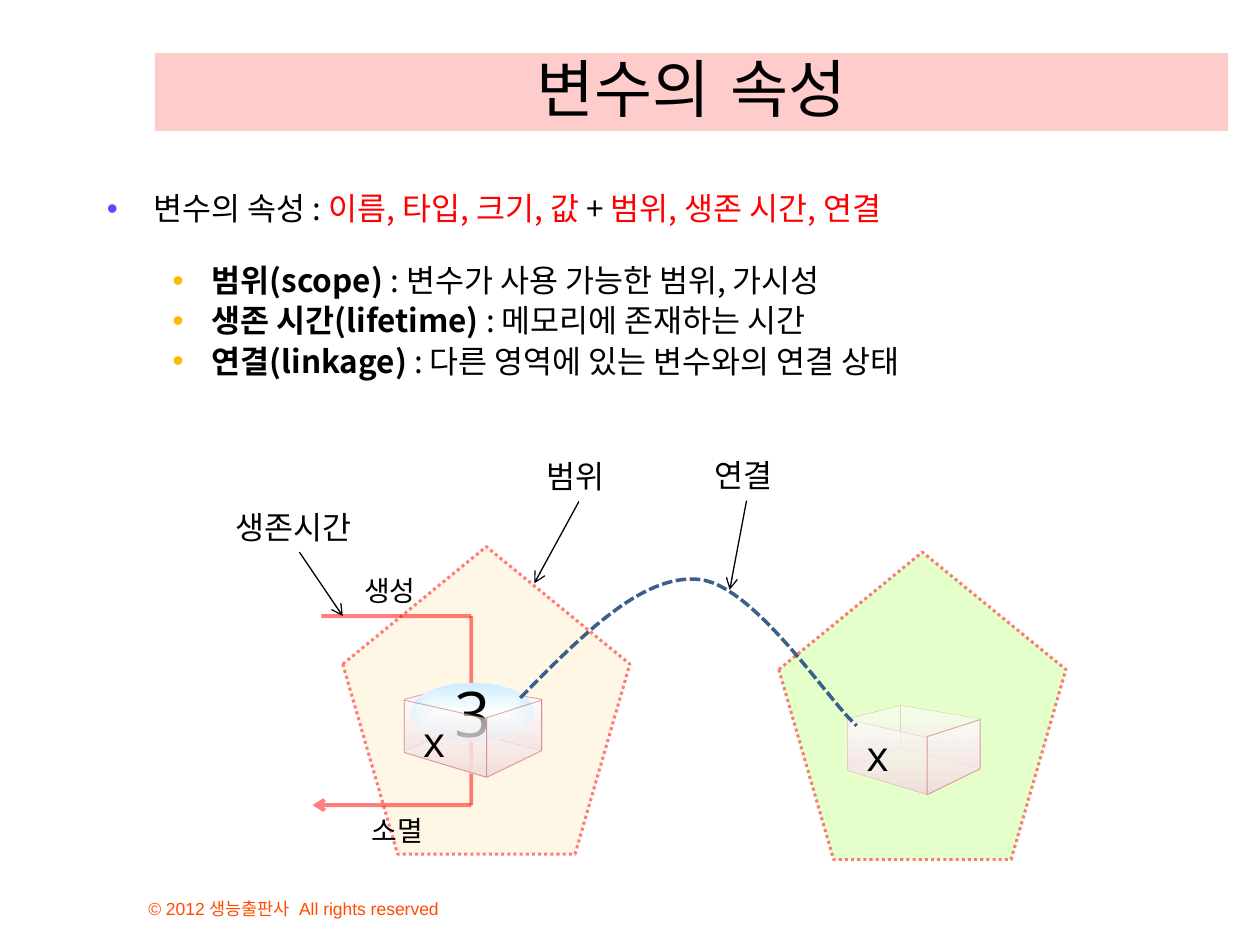
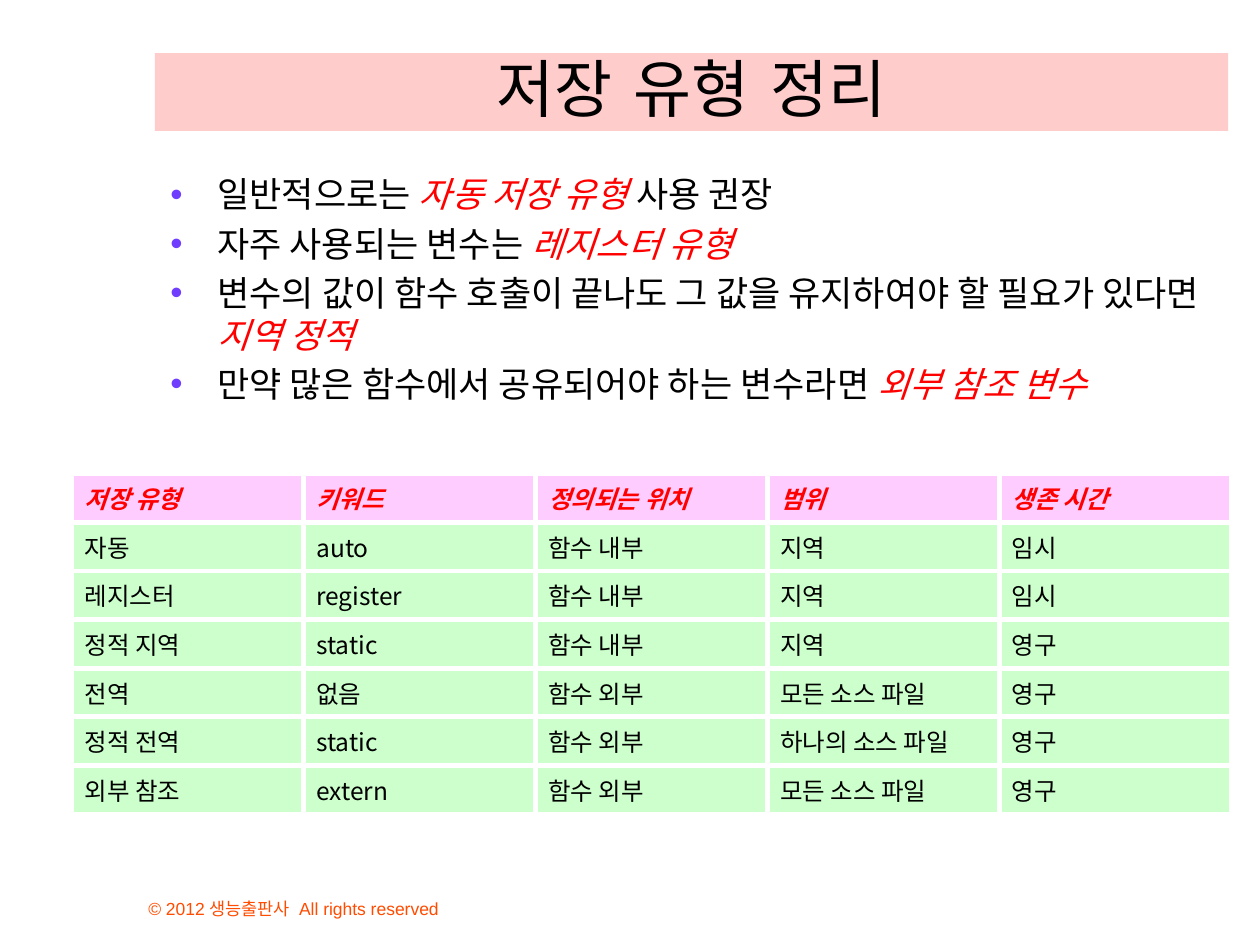
from lxml.etree import SubElement
from pptx import Presentation
from pptx.dml.color import RGBColor
from pptx.enum.dml import MSO_LINE
from pptx.enum.shapes import MSO_CONNECTOR, MSO_SHAPE
from pptx.enum.text import MSO_ANCHOR, MSO_AUTO_SIZE, PP_ALIGN
from pptx.oxml.ns import qn
from pptx.util import Cm, Pt

BLACK, RED, WHITE = "000000", "FF0000", "FFFFFF"
BAND, ORANGE, PURPLE, AMBER = "FFCCCC", "FF4C00", "703DFF", "FFB800"
ROSE, BRICK, NAVY = "F2DCDB", "C0504D", "3A5F8C"
KOREAN, TITLE, LATIN, PLAIN = "Noto Sans CJK KR", "Comic Neue", "Open Sans", "Arial"

FOOTER = "© 2012 생능출판사  All rights reserved"
HOT = {"color": RED}
BOLD = {"bold": True}
SLANT = {"color": RED, "italic": True}

# Each paragraph is a list of (text, format) runs.
TRAITS = [[("변수의 속성 : ", {}), ("이름, 타입, 크기, 값 ", HOT),
           ("+ ", {}), ("범위, 생존 시간, 연결", HOT)]]
TERMS = [
    [("범위(scope) ", BOLD), (": 변수가 사용 가능한 범위, 가시성", {})],
    [("생존 시간(lifetime) ", BOLD), (": 메모리에 존재하는 시간", {})],
    [("연결(linkage)", BOLD), (" : 다른 영역에 있는 변수와의 연결 상태", {})],
]
ADVICE = [
    [("일반적으로는 ", {}), ("자동 저장 유형", SLANT), (" 사용 권장", {})],
    [("자주 사용되는 변수는 ", {}), ("레지스터 유형", SLANT)],
    [("변수의 값이 함수 호출이 끝나도 그 값을 유지하여야 할 필요가 있다면 ", {}),
     ("지역 정적", SLANT)],
    [("만약 많은 함수에서 공유되어야 하는 변수라면 ", {}), ("외부 참조 변수", SLANT)],
]
STORAGE = [
    ("저장 유형", "키워드", "정의되는 위치", "범위", "생존 시간"),
    ("자동", "auto", "함수 내부", "지역", "임시"),
    ("레지스터", "register", "함수 내부", "지역", "임시"),
    ("정적 지역", "static", "함수 내부", "지역", "영구"),
    ("전역", "없음", "함수 외부", "모든 소스 파일", "영구"),
    ("정적 전역", "static", "함수 외부", "하나의 소스 파일", "영구"),
    ("외부 참조", "extern", "함수 외부", "모든 소스 파일", "영구"),
]

# Diagram parts, in cm.
SCOPES = [((6.91, 11.02), "FFF1CC"), ((15.7, 11.13), "CCFF99")]
LIFE = [((9.5, 16.23), (6.3, 16.23), True),
        ((6.48, 12.42), (9.5, 12.42), False),
        ((9.5, 12.42), (9.5, 16.23), False)]
EVENTS = [("생성", (7.09, 11.43, 1.65, 0.94)), ("소멸", (7.24, 16.26, 1.65, 0.94))]
CALLOUTS = [("생존시간", (4.5, 10.11, 3.07, 1.02), (6.91, 12.42)),
            ("범위", (10.77, 9.09, 1.8, 1.02), (10.77, 11.76)),
            ("연결", (14.15, 9.07, 1.8, 1.02), (14.71, 11.89))]
LINK = [[(10.49, 14.07), (11.71, 12.83), (12.93, 11.58), (14.07, 11.68)],
        [(14.07, 11.68), (15.19, 11.76), (16.71, 14.15), (17.27, 14.63)]]
# Faces of a variable's box, as fractions of its width and height.
BACK = [[(0.4, 0), (0.4, 0.48), (1, 0.71), (1, 0.15)],
        [(0, 0.71), (0.4, 0.47), (0.4, 0), (0, 0.15)]]
FRONT = [[(0, 0.16), (0, 0.73), (0.6, 1), (0.6, 0.36)],
         [(0.6, 1), (1, 0.71), (1, 0.16), (0.6, 0.35)]]


def rgb(code):
    return RGBColor.from_string(code)


def cms(values):
    return [Cm(v) for v in values]


def place(shape, box):
    shape.left, shape.top, shape.width, shape.height = cms(box)


def fade(node):
    """Make every colour under the node half transparent."""
    for color in node.iter(qn("a:srgbClr")):
        SubElement(color, qn("a:alpha"), val="50000")


def bullet(para, color, left, hang):
    props = para._p.get_or_add_pPr()
    props.set("marL", str(Cm(left)))
    props.set("indent", str(-Cm(hang)))
    tint = SubElement(props, qn("a:buClr"))
    SubElement(tint, qn("a:srgbClr"), val=color)
    SubElement(props, qn("a:buFont"), typeface=PLAIN)
    SubElement(props, qn("a:buChar"), char="•")


def write(frame, text, font=KOREAN, size=18, color=BLACK, bold=False, italic=False,
          align=None, anchor=MSO_ANCHOR.TOP, wrap=True, mark=None, level=0,
          line=None, gap=0):
    """Fill a frame with a string or with paragraphs of (text, format) runs."""
    frame.word_wrap = wrap
    frame.auto_size = MSO_AUTO_SIZE.NONE
    frame.vertical_anchor = anchor
    paras = [[(text, {})]] if isinstance(text, str) else text
    for n, runs in enumerate(paras):
        para = frame.add_paragraph() if n else frame.paragraphs[0]
        para.level = level
        if mark:
            bullet(para, *mark)
        para.alignment = align
        para.line_spacing = line
        para.space_before = Pt(gap if n else 0)
        for words, extra in runs:
            look = {"color": color, "bold": bold, "italic": italic, **extra}
            run = para.add_run()
            run.text = words
            run.font.size = Pt(size)
            run.font.bold, run.font.italic = look["bold"], look["italic"]
            run.font.color.rgb = rgb(look["color"])
            run.font.name = font
            SubElement(run.font._element, qn("a:ea"), typeface=font)


def label(slide, box, text, **look):
    shape = slide.shapes.add_textbox(*cms(box))
    write(shape.text_frame, text, **look)
    return shape


def stroke(shape, color, width, dash=None):
    shape.line.color.rgb = rgb(color)
    shape.line.width = Pt(width)
    if dash:
        shape.line.dash_style = dash


def connect(slide, start, end, color, width, arrow=False):
    line = slide.shapes.add_connector(MSO_CONNECTOR.STRAIGHT, *cms(start + end))
    stroke(line, color, width)
    props = line.element.spPr
    if arrow:
        SubElement(props.find(qn("a:ln")), qn("a:tailEnd"), type="arrow")
    SubElement(props, qn("a:effectLst"))
    return line


def outline(slide, points, close):
    first, *rest = [cms(p) for p in points]
    pen = slide.shapes.build_freeform(*first)
    pen.add_line_segments(rest, close=close)
    shape = pen.convert_to_shape()
    shape.shadow.inherit = False
    return shape


def blend(shape, color):
    """Fill from white at the top to the colour; return the gradient's XML."""
    shape.fill.gradient()
    shape.fill.gradient_angle = 270
    for stop, code in zip(shape.fill.gradient_stops, (WHITE, color)):
        stop.color.rgb = rgb(code)
    return shape.element.spPr.find(qn("a:gradFill"))


def draw_faces(slide, faces, box, widths, glass=True):
    left, top, wide, high = box
    for face, width in zip(faces, widths):
        points = [(left + x * wide, top + y * high) for x, y in face]
        shape = outline(slide, points, True)
        grad = blend(shape, ROSE)
        if glass:
            fade(grad[0][0])
        stroke(shape, BRICK, width)
        fade(shape.element.spPr.find(qn("a:ln")))


def draw_value(slide):
    disc = slide.shapes.add_shape(MSO_SHAPE.OVAL, *cms((8.28, 13.77, 2.49, 1.19)))
    disc.shadow.inherit = False
    disc.line.fill.background()
    grad = blend(disc, "CCECFF")
    grad.remove(grad.find(qn("a:lin")))
    focus = SubElement(grad, qn("a:path"), path="shape")
    SubElement(focus, qn("a:fillToRect"), l="50000", t="50000", r="50000", b="50000")
    write(disc.text_frame, "3", font=LATIN, size=36, align=PP_ALIGN.CENTER,
          anchor=MSO_ANCHOR.MIDDLE, wrap=False)


def curve(parts, steps=24):
    """Points along joined cubic Bezier parts."""
    points = [parts[0][0]]
    for a, b, c, d in parts:
        for n in range(1, steps + 1):
            t = n / steps
            u = 1 - t
            points.append(tuple(
                u**3 * p + 3 * u * u * t * q + 3 * u * t * t * r + t**3 * s
                for p, q, r, s in zip(a, b, c, d)))
    return points


def draw_scopes(slide):
    mid = {"anchor": MSO_ANCHOR.MIDDLE}
    for spot, color in SCOPES:
        shape = slide.shapes.add_shape(MSO_SHAPE.REGULAR_PENTAGON,
                                       *cms(spot + (5.79, 6.2)))
        shape.shadow.inherit = False
        shape.fill.solid()
        shape.fill.fore_color.rgb = rgb(color)
        stroke(shape, RED, 1.75, MSO_LINE.ROUND_DOT)
        fade(shape.element.spPr)
    for start, end, arrow in LIFE:
        fade(connect(slide, start, end, RED, 2.25, arrow).element.spPr)

    near, far = (8.15, 13.82, 2.77, 1.85), (17.09, 14.22, 2.67, 1.8)
    draw_faces(slide, BACK, near, (0.5, 0.5), glass=False)
    draw_value(slide)
    draw_faces(slide, FRONT, near, (0.5, 0.5))
    draw_faces(slide, BACK + FRONT, far, (0.1, 0.1, 0.1, 0.5))
    for box in ((8.28, 14.3, 1.12, 1.27), (17.22, 14.66, 1.27, 1.12)):
        label(slide, box, "x", font=LATIN, size=24, **mid)

    for text, box in EVENTS:
        label(slide, box, text, size=16, **mid)
    link = outline(slide, curve(LINK), False)
    link.fill.background()
    stroke(link, NAVY, 2, MSO_LINE.SQUARE_DOT)
    for text, box, tip in CALLOUTS:
        note = label(slide, box, text, **mid)
        arrow = connect(slide, box[:2], tip, BLACK, 0.75, True)
        arrow.begin_connect(note, 2)


def draw_table(slide):
    rows, cols = len(STORAGE), len(STORAGE[0])
    frame = slide.shapes.add_table(rows, cols, *cms((1.45, 9.55, 23.37, 6.86)))
    table = frame.table
    for row in table.rows:
        row.height = Cm(0.98)
    for r, texts in enumerate(STORAGE):
        head = r == 0
        for c, text in enumerate(texts):
            cell = table.cell(r, c)
            props = cell._tc.get_or_add_tcPr()
            for side in ("lnL", "lnR", "lnT", "lnB"):
                edge = SubElement(props, qn("a:" + side), w=str(Pt(3)))
                SubElement(SubElement(edge, qn("a:solidFill")),
                           qn("a:srgbClr"), val=WHITE)
            cell.fill.solid()
            cell.fill.fore_color.rgb = rgb("FFCCFF" if head else "CCFFCC")
            cell.vertical_anchor = MSO_ANCHOR.MIDDLE
            write(cell.text_frame, text, size=14, color=RED if head else BLACK,
                  bold=head, italic=head, align=PP_ALIGN.JUSTIFY,
                  anchor=MSO_ANCHOR.MIDDLE)


def add_page(deck, title, box, paras, **look):
    slide = deck.slides.add_slide(deck.slide_layouts[1])
    label(slide, (2.74, 17.58, 9.73, 1.07), FOOTER, font=PLAIN, size=10,
          color=ORANGE, anchor=MSO_ANCHOR.BOTTOM)
    head, body = slide.shapes.title, slide.placeholders[1]
    place(head, (3.12, 1.07, 21.64, 1.57))
    head.fill.solid()
    head.fill.fore_color.rgb = rgb(BAND)
    write(head.text_frame, title, font=TITLE, size=36, align=PP_ALIGN.CENTER,
          anchor=MSO_ANCHOR.BOTTOM)
    place(body, box)
    write(body.text_frame, paras, mark=(PURPLE, 0.95, 0.95), **look)
    return slide


def main():
    deck = Presentation()
    deck.slide_width, deck.slide_height = Cm(25.4), Cm(19.05)
    tight = {"line": Pt(19.4), "gap": 3.6}

    page = add_page(deck, "변수의 속성", (1.9, 3.77, 22.81, 1.02), TRAITS, **tight)
    label(page, (1.96, 5.22, 19.25, 2.62), TERMS, level=1,
          mark=(AMBER, 2.06, 0.79), **tight)
    draw_scopes(page)

    page = add_page(deck, "저장 유형 정리", (3.18, 3.36, 21.29, 6.1), ADVICE,
                    size=20, line=Pt(24), gap=4)
    draw_table(page)
    deck.save("out.pptx")


if __name__ == "__main__":
    main()
